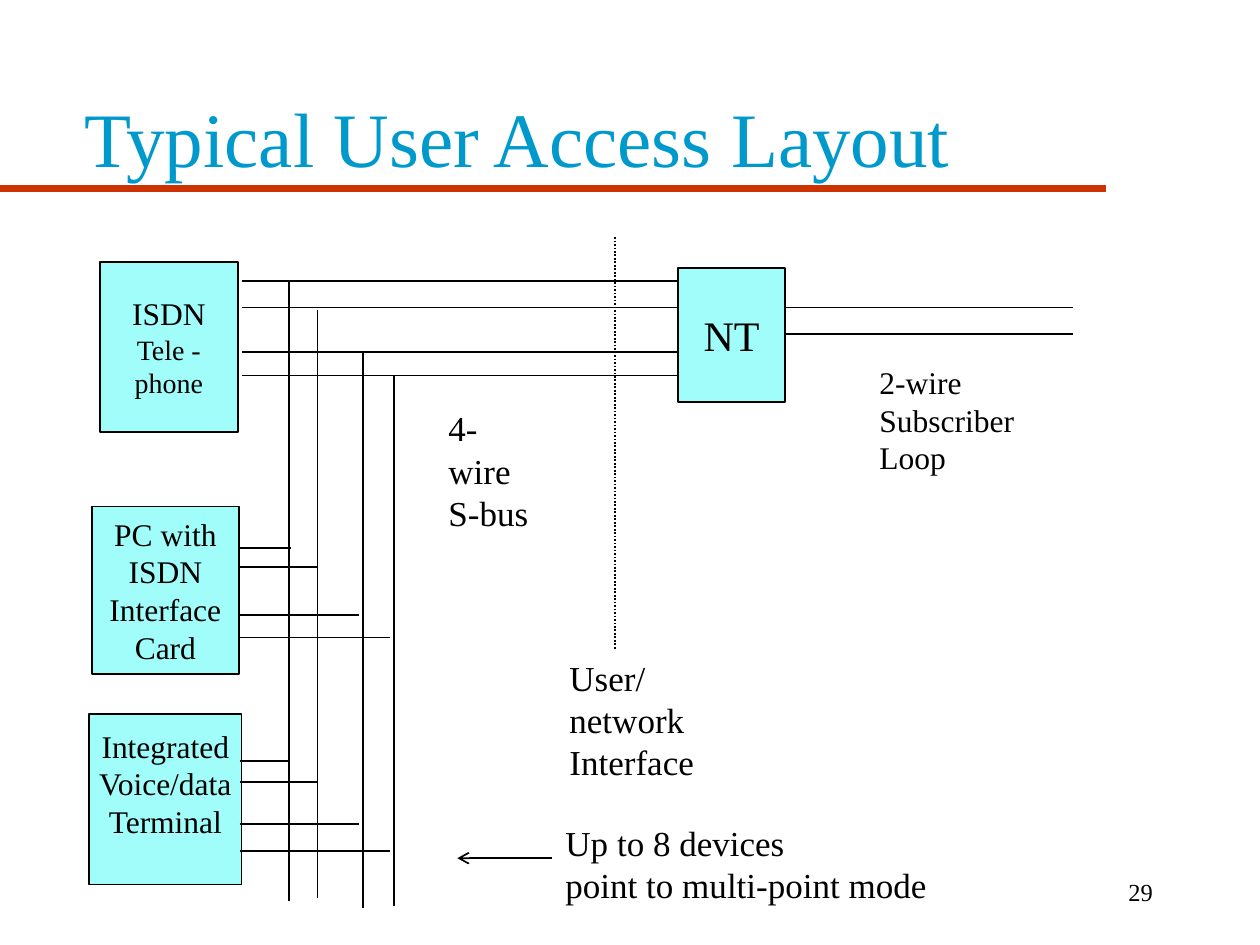
from lxml import etree
from pptx import Presentation
from pptx.dml.color import RGBColor
from pptx.enum import dml, shapes, text
from pptx.oxml import ns
from pptx.util import Cm, Pt

FONT = "Times New Roman"
BLACK, CYAN, BLUE, RED = "000000", "A1FDF9", "0099CC", "CC3300"
MID, TOP, BASE = (text.MSO_ANCHOR.MIDDLE, text.MSO_ANCHOR.TOP,
                  text.MSO_ANCHOR.BOTTOM)
LEFT, CENTER, RIGHT = (text.PP_ALIGN.LEFT, text.PP_ALIGN.CENTER,
                       text.PP_ALIGN.RIGHT)


def paint(target, color):
    """Set a font or fill colour from a hex string."""
    target.rgb = RGBColor.from_string(color)


def write(shape, words, sizes, align=LEFT, anchor=TOP, color=BLACK, wrap=False):
    """Fill a shape with lines, one size for each paragraph."""
    frame = shape.text_frame
    frame.text = words
    frame.word_wrap = wrap
    frame.vertical_anchor = anchor
    for para, size in zip(frame.paragraphs, sizes):
        para.alignment = align
        for run in para.runs:
            run.font.name = FONT
            run.font.size = Pt(size)
            paint(run.font.color, color)
    return frame


def label(slide, box, words, size, **style):
    """Add a text box with one size throughout."""
    shape = slide.shapes.add_textbox(*map(Cm, box))
    return write(shape, words, [size] * (words.count("\n") + 1), **style)


def wire(slide, x1, y1, x2, y2, color=BLACK, width=1):
    """Draw a straight line without shadow."""
    line = slide.shapes.add_connector(
        shapes.MSO_CONNECTOR.STRAIGHT, Cm(x1), Cm(y1), Cm(x2), Cm(y2))
    paint(line.line.color, color)
    line.line.width = Pt(width)
    etree.SubElement(line._element.spPr, ns.qn("a:effectLst"))
    return line


def device(slide, box, words, sizes, stubs=(), anchor=MID):
    """Draw a device box and its stubs, given as drop and length."""
    left, top, width, height = box
    shape = slide.shapes.add_shape(
        shapes.MSO_SHAPE.RECTANGLE, *map(Cm, box))
    shape.shadow.inherit = False
    shape.fill.solid()
    paint(shape.fill.fore_color, CYAN)
    paint(shape.line.color, BLACK)
    shape.line.width = Pt(1)
    frame = write(shape, words, sizes, CENTER, anchor)
    if anchor == TOP:
        frame.margin_top = Cm(0.25)
    for drop, reach in stubs:
        wire(slide, 4.83, top + drop, 4.83 + reach, top + drop)


def bus(slide, box):
    """Draw the four bus wires and the four risers below them."""
    left, top, width, height = box
    for drop in (0, 0.54, 1.43, 1.91):
        wire(slide, left, top + drop, left + width, top + drop)
    risers = ((0.94, 0, 0.15), (1.52, 0.59, 0.2), (2.44, 1.43, 0), (3.07, 1.91, 0.05))
    for shift, drop, short in risers:
        wire(slide, left + shift, top + drop, left + shift, top + height - short)


def loop(slide, box):
    """Draw the two subscriber wires and their label."""
    left, top, width, height = box
    for drop in (0, 0.53):
        wire(slide, left, top + drop, left + width, top + drop)
    label(slide, (left + 1.66, top + 0.99, 3.23, 2.54),
          "2-wire\nSubscriber\nLoop", 18)


def border(slide, box):
    """Draw the dotted user/network border and its label."""
    left, top, width, height = box
    mid = left + 1.17
    line = wire(slide, mid, top, mid, top + height - 1.99)
    line.line.dash_style = dml.MSO_LINE.ROUND_DOT
    label(slide, (left, top + height - 1.96, width, 1.96),
          "User/network\nInterface", 20)


def remark(slide, box):
    """Add the device limit with an arrow to its left."""
    left, top, width, height = box
    line = wire(slide, left, top + 0.87, left + 1.9, top + 0.87)
    stroke = line.line._get_or_add_ln()
    etree.SubElement(stroke, ns.qn("a:headEnd"), type="arrow")
    label(slide, (left + 1.93, top, width - 1.93, height),
          "Up to 8 devices\npoint to multi-point mode", 20)


def header(slide, box):
    """Add the title and the red rule below it."""
    left, top, width, height = box
    base = top + height
    wire(slide, 0, base, 22.3, base, RED, 4)
    label(slide, box, "Typical User Access Layout", 44,
          anchor=BASE, color=BLUE, wrap=True)


def main():
    """Build the slide and save it."""
    deck = Presentation()
    deck.slide_width, deck.slide_height = Cm(25.4), Cm(19.05)
    slide = deck.slides.add_slide(deck.slide_layouts[6])
    header(slide, (1.46, 0.74, 21.2, 3.07))
    device(slide, (2.01, 5.28, 2.79, 3.43), "ISDN\nTele -\nphone", (18, 16, 16))
    device(slide, (1.85, 10.21, 2.97, 3.38), "PC with\nISDN\nInterface\nCard",
           [18] * 4, ((0.84, 1.04), (1.22, 1.57), (2.19, 2.41), (2.64, 3.04)))
    device(slide, (1.8, 14.4, 3.07, 3.43), "Integrated\nVoice/data\nTerminal",
           [18] * 3, ((0.94, 0.99), (1.37, 1.57), (2.21, 2.41), (2.75, 3.04)), TOP)
    device(slide, (13.67, 5.41, 2.16, 2.69), "NT", [24])
    bus(slide, (4.88, 5.66, 8.79, 12.65))
    label(slide, (8.79, 8.08, 2.34, 1.96), "4-wire\nS-bus", 20)
    loop(slide, (15.82, 6.2, 5.82, 3.53))
    border(slide, (11.23, 4.78, 4.34, 10.29))
    remark(slide, (9.22, 16.43, 9.73, 1.96))
    label(slide, (18.21, 17.35, 5.28, 1.27), "29", 14,
          align=RIGHT, anchor=MID, wrap=True)
    deck.save("out.pptx")


if __name__ == "__main__":
    main()
